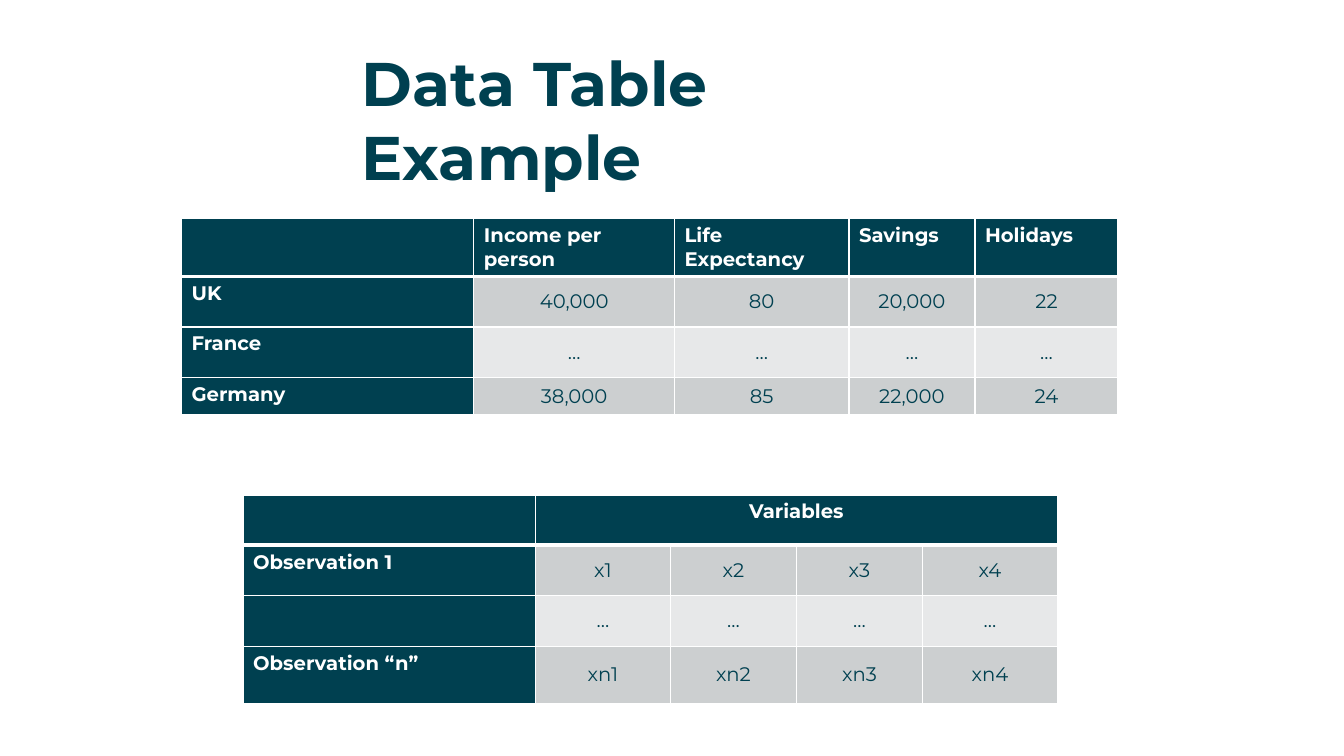
"""Build a slide with an example data table and its general observation-by-variable form."""
import dataclasses

import lxml.etree
import pptx
import pptx.dml.color
import pptx.enum.text
import pptx.oxml.ns
import pptx.util

Inches = pptx.util.Inches
Align = pptx.enum.text.PP_ALIGN
Anchor = pptx.enum.text.MSO_ANCHOR


@dataclasses.dataclass(frozen=True)
class Theme:
    font: str = "Montserrat"
    teal: str = "004050"
    white: str = "FFFFFF"
    dark_band: str = "CCCFD0"
    light_band: str = "E7E8E9"
    title_size: int = 44
    table_size: int = 14
    thin_line: int = 1
    thick_line: int = 3


theme = Theme()


def write(para, text, size, color, bold):
    span = para.add_run()
    span.text = text
    span.font.name = theme.font
    span.font.size = pptx.util.Pt(size)
    span.font.bold = bold
    span.font.color.rgb = pptx.dml.color.RGBColor.from_string(color)


def add_border(cell, side, width):
    name = pptx.oxml.ns.qn
    properties = cell._tc.get_or_add_tcPr()
    line = lxml.etree.SubElement(properties, name(f"a:ln{side}"), w=str(pptx.util.Pt(width)))
    fill = lxml.etree.SubElement(line, name("a:solidFill"))
    lxml.etree.SubElement(fill, name("a:srgbClr"), val=theme.white)


deck = pptx.Presentation()
deck.slide_width = Inches(13.33)
deck.slide_height = Inches(7.5)
page = deck.slides.add_slide(deck.slide_layouts[5])

title = page.shapes.title
title.left, title.top = Inches(3.49), Inches(0.4)
title.width, title.height = Inches(6.43), Inches(1.58)
title.text_frame.word_wrap = True
title.text_frame.auto_size = pptx.enum.text.MSO_AUTO_SIZE.NONE
title.text_frame.vertical_anchor = Anchor.TOP
heading = title.text_frame.paragraphs[0]
heading.alignment = Align.LEFT
heading.line_spacing = 1.0
write(heading, "Data Table Example", theme.title_size, theme.teal, True)

tables = [
    {
        "place": (1.8, 2.17),
        "columns": [2.9, 1.99, 1.73, 1.25, 1.42],
        "rows": [0.57, 0.5, 0.5, 0.37],
        "values": [
            ["", "Income per person", "Life Expectancy", "Savings", "Holidays"],
            ["UK", "40,000", "80", "20,000", "22"],
            ["France", "…", "…", "…", "…"],
            ["Germany", "38,000", "85", "22,000", "24"],
        ],
        "spanning_header": False,
    },
    {
        "place": (2.41, 4.91),
        "columns": [2.9, 1.34, 1.25, 1.25, 1.34],
        "rows": [0.5, 0.5, 0.5, 0.57],
        "values": [
            ["", "Variables"],
            ["Observation 1", "x1", "x2", "x3", "x4"],
            ["", "…", "…", "…", "…"],
            ["Observation “n”", "xn1", "xn2", "xn3", "xn4"],
        ],
        "spanning_header": True,
    },
]

for layout in tables:
    widths, heights = layout["columns"], layout["rows"]
    left, top = layout["place"]
    table = page.shapes.add_table(
        len(heights), len(widths),
        Inches(left), Inches(top), Inches(sum(widths)), Inches(sum(heights)),
    ).table
    table.first_col = True
    for column, width in zip(table.columns, widths):
        column.width = Inches(width)
    for row, height in zip(table.rows, heights):
        row.height = Inches(height)
    if layout["spanning_header"]:
        table.cell(0, 1).merge(table.cell(0, len(widths) - 1))

    for row_index, row_values in enumerate(layout["values"]):
        for column_index, text in enumerate(row_values):
            cell = table.cell(row_index, column_index)
            is_label = row_index == 0 or column_index == 0
            for side in "LRTB":
                under_header = (row_index, side) in [(0, "B"), (1, "T")]
                add_border(cell, side, theme.thick_line if under_header else theme.thin_line)
            band = theme.dark_band if row_index % 2 else theme.light_band
            cell.fill.solid()
            cell.fill.fore_color.rgb = pptx.dml.color.RGBColor.from_string(
                theme.teal if is_label else band
            )
            cell.vertical_anchor = Anchor.TOP if is_label else Anchor.MIDDLE
            if text:
                para = cell.text_frame.paragraphs[0]
                centred = not is_label or cell.is_merge_origin
                para.alignment = Align.CENTER if centred else Align.LEFT
                color = theme.white if is_label else theme.teal
                write(para, text, theme.table_size, color, is_label)

deck.save("out.pptx")
